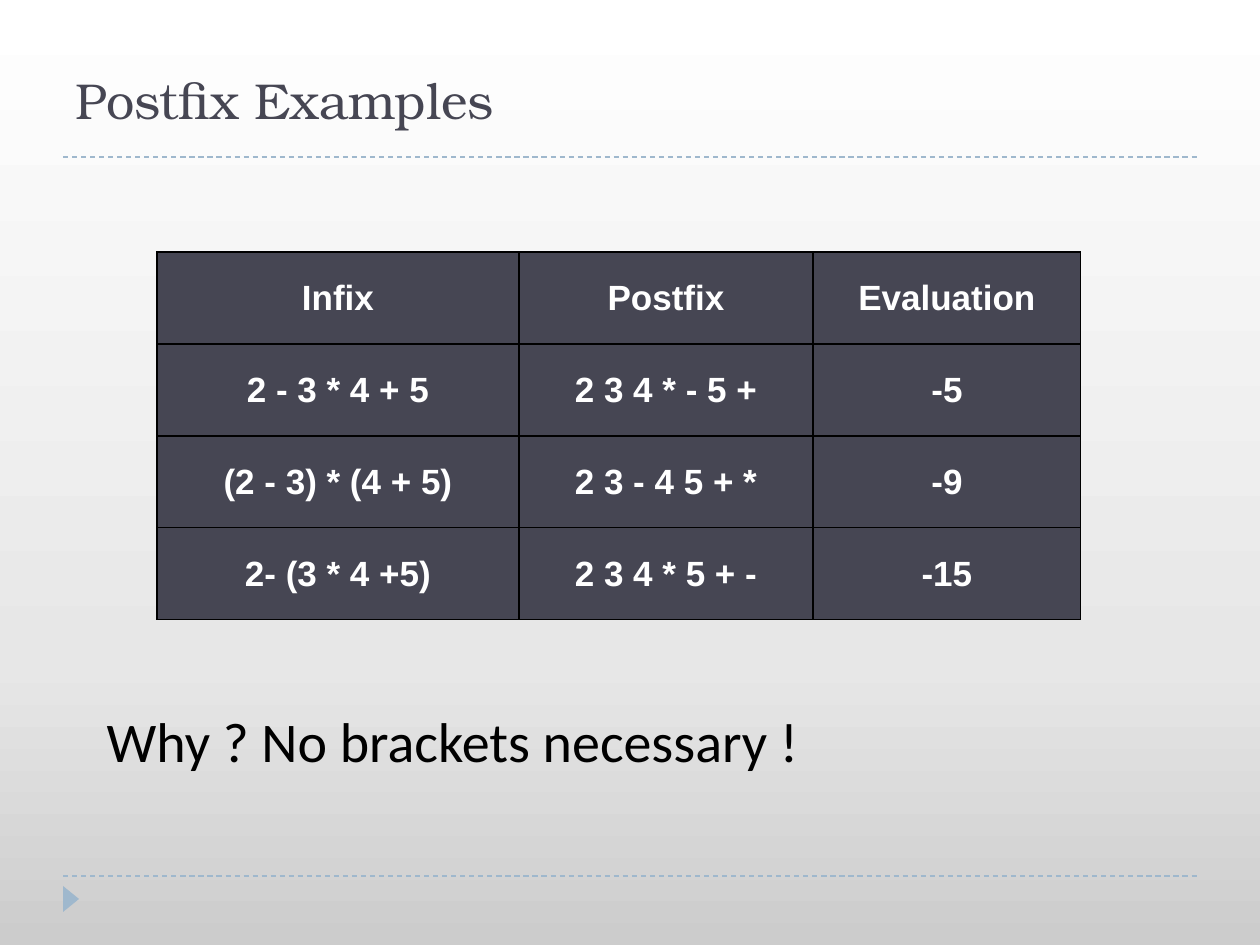
"""Build the slide on postfix examples."""
from copy import deepcopy
from pptx import Presentation
from pptx.dml.color import RGBColor
from pptx.enum.dml import MSO_LINE
from pptx.enum.shapes import MSO_CONNECTOR, MSO_SHAPE
from pptx.enum.text import MSO_ANCHOR, MSO_AUTO_SIZE, PP_ALIGN
from pptx.oxml import parse_xml
from pptx.oxml.ns import nsdecls, qn
from pptx.util import Emu, Pt

DARK = RGBColor(0x46, 0x46, 0x53)
BLUE = RGBColor(0x9F, 0xB8, 0xCD)
BLACK = RGBColor(0, 0, 0)
WHITE = RGBColor(255, 255, 255)
SHADES = [(0, RGBColor(0xCC, 0xCC, 0xCC)), (0.3, RGBColor(0xE7, 0xE7, 0xE7)), (1, WHITE)]
ROWS = [
    ("Infix", "Postfix", "Evaluation"),
    ("2 - 3 * 4 + 5", "2 3 4 * - 5 +", "-5"),
    ("(2 - 3) * (4 + 5)", "2 3 - 4 5 + *", "-9"),
    ("2- (3 * 4 +5)", "2 3 4 * 5 + -", "-15"),
]
WIDTHS = (362, 294, 268)
HEIGHT = 92


def px(*sizes):
    return [Emu(size * 914400 // 126) for size in sizes]


def write(para, text, font, size, color, bold=False):
    run = para.add_run()
    run.text = text
    run.font.name = font
    run.font.size = Pt(size)
    run.font.color.rgb = color
    run.font.bold = bold


deck = Presentation()
deck.slide_width, deck.slide_height = px(1260, 945)
slide = deck.slides.add_slide(deck.slide_layouts[1])
shapes = slide.shapes

back = slide.background.fill
back.gradient()
back.gradient_angle = 90
stops = slide.element.find(".//" + qn("a:gsLst"))
stops.append(deepcopy(stops[-1]))
for stop, (place, shade) in zip(back.gradient_stops, SHADES):
    stop.position = place
    stop.color.rgb = shade

for y in (876, 157):
    rule = shapes.add_connector(MSO_CONNECTOR.STRAIGHT, *px(63, y, 1197, y))
    rule.line.color.rgb = BLUE
    rule.line.width = Pt(0.75)
    rule.line.dash_style = MSO_LINE.DASH
    rule._element.spPr.append(parse_xml(f"<a:effectLst {nsdecls('a')}/>"))

mark = shapes.add_shape(MSO_SHAPE.ISOSCELES_TRIANGLE, *px(58, 891, 26, 16))
mark.rotation = 90
mark.shadow.inherit = False
mark.fill.solid()
mark.fill.fore_color.rgb = BLUE
mark.line.fill.background()

title = shapes.title
body = slide.placeholders[1]
for holder, box, anchor, text, style in (
    (title, (63, 81, 1134, 55), MSO_ANCHOR.BOTTOM, "Postfix Examples", ("TeX Gyre Bonum", 28.8, DARK)),
    (body, (94, 700, 1166, 90), MSO_ANCHOR.TOP, "Why ? No brackets necessary !", ("Calibri", 32, BLACK)),
):
    holder.left, holder.top, holder.width, holder.height = px(*box)
    frame = holder.text_frame
    frame.word_wrap = True
    frame.auto_size = MSO_AUTO_SIZE.NONE
    frame.vertical_anchor = anchor
    para = frame.paragraphs[0]
    para.alignment = PP_ALIGN.LEFT
    para.space_before = Pt(0)
    write(para, text, *style)
props = body.text_frame.paragraphs[0]._p.get_or_add_pPr()
props.append(parse_xml(f"<a:buNone {nsdecls('a')}/>"))

grid = shapes.add_table(len(ROWS), len(WIDTHS), *px(157, 252, sum(WIDTHS), HEIGHT * len(ROWS))).table
for col, width in zip(grid.columns, px(*WIDTHS)):
    col.width = width
for row, texts in zip(grid.rows, ROWS):
    row.height = px(HEIGHT)[0]
    for cell, text in zip(row.cells, texts):
        cell.vertical_anchor = MSO_ANCHOR.MIDDLE
        para = cell.text_frame.paragraphs[0]
        para.alignment = PP_ALIGN.CENTER
        write(para, text, "Arial", 20, WHITE, True)
        edges = cell._tc.get_or_add_tcPr()
        for side in ("lnL", "lnR", "lnT", "lnB"):
            edges.append(parse_xml(
                f'<a:{side} {nsdecls("a")} w="{Pt(0.75)}"><a:solidFill>'
                f'<a:srgbClr val="{BLACK}"/></a:solidFill></a:{side}>'))
        cell.fill.solid()
        cell.fill.fore_color.rgb = DARK

deck.save("out.pptx")
